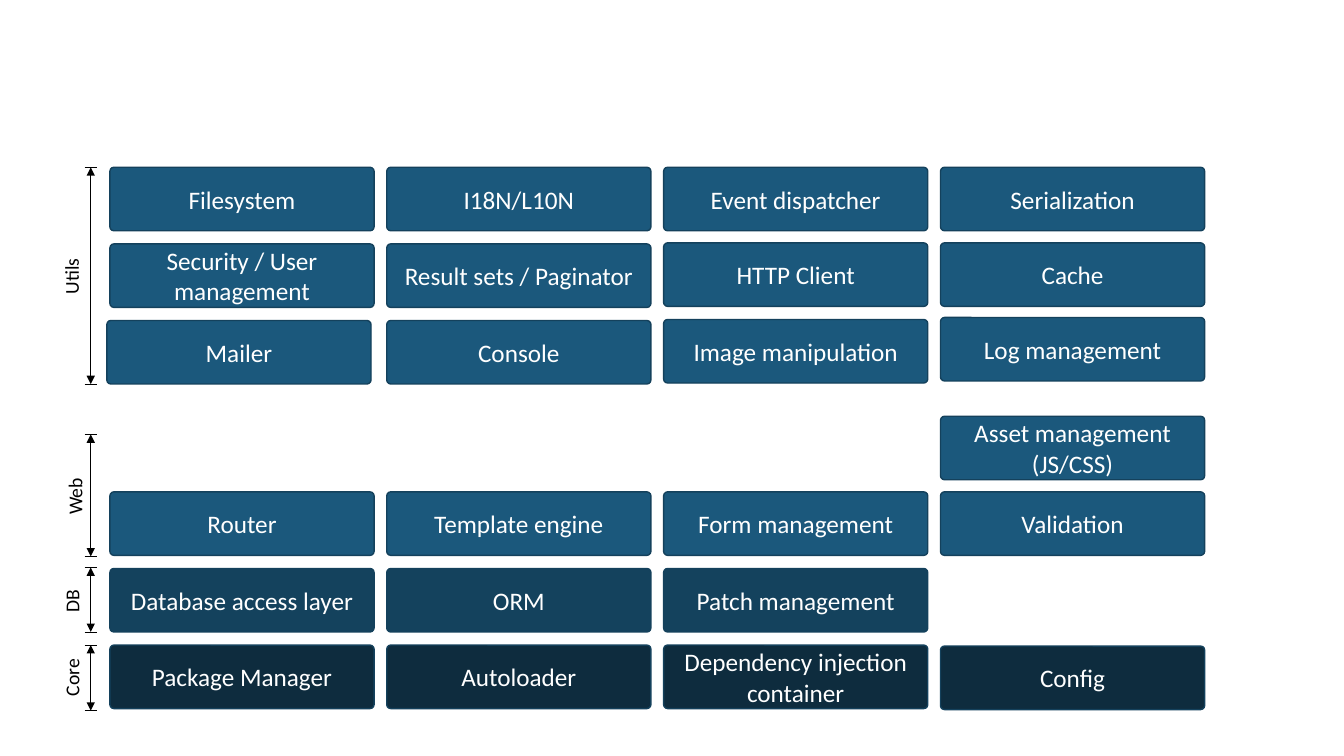
from dataclasses import dataclass

from lxml import etree
from pptx import Presentation
from pptx import util as u
from pptx.dml.color import RGBColor
from pptx.enum import shapes, text
from pptx.oxml import ns


@dataclass(frozen=True)
class Theme:
    font: str = "Calibri"
    box_size: int = 18
    label_size: int = 14
    utility: str = "1B587C"
    database: str = "14425D"
    core: str = "0E2C3E"
    outline: str = "14415C"
    box_text: str = "FFFFFF"
    ink: str = "000000"
    outline_width: float = 1
    bracket_width: float = 0.5


@dataclass(frozen=True)
class Box:
    label: str
    column: int
    top: float
    fill: str
    shift: float = 0


@dataclass(frozen=True)
class Layer:
    label: str
    top: float
    bottom: float
    label_left: float
    label_top: float
    label_width: float
    align: text.PP_ALIGN = text.PP_ALIGN.LEFT


THEME = Theme()
LEFT, PITCH, WIDTH, HEIGHT = 1.09, 2.746, 2.62, 0.63
CORNER = 0.063
BRACKET_LEFT, BRACKET_MID, BRACKET_RIGHT = 0.84, 0.9, 0.96
LABEL_HEIGHT = 0.34

BOXES = [
    Box("Filesystem", 0, 1.66, THEME.utility),
    Box("I18N/L10N", 1, 1.66, THEME.utility),
    Box("Event dispatcher", 2, 1.66, THEME.utility),
    Box("Serialization", 3, 1.66, THEME.utility),
    Box("Security / User management", 0, 2.42, THEME.utility),
    Box("Result sets / Paginator", 1, 2.42, THEME.utility),
    Box("HTTP Client", 2, 2.41, THEME.utility),
    Box("Cache", 3, 2.41, THEME.utility),
    Box("Mailer", 0, 3.18, THEME.utility, -0.03),
    Box("Console", 1, 3.18, THEME.utility),
    Box("Image manipulation", 2, 3.17, THEME.utility),
    Box("Log management", 3, 3.15, THEME.utility),
    Box("Asset management\n(JS/CSS)", 3, 4.13, THEME.utility),
    Box("Router", 0, 4.88, THEME.utility),
    Box("Template engine", 1, 4.88, THEME.utility),
    Box("Form management", 2, 4.88, THEME.utility),
    Box("Validation", 3, 4.88, THEME.utility),
    Box("Database access layer", 0, 5.64, THEME.database),
    Box("ORM", 1, 5.64, THEME.database),
    Box("Patch management", 2, 5.64, THEME.database),
    Box("Package Manager", 0, 6.4, THEME.core),
    Box("Autoloader", 1, 6.4, THEME.core),
    Box("Dependency injection container", 2, 6.4, THEME.core),
    Box("Config", 3, 6.41, THEME.core),
]

LAYERS = [
    Layer("Utils", 1.66, 3.81, 0.43, 2.57, 0.56, text.PP_ALIGN.CENTER),
    Layer("Web", 4.31, 5.52, 0.46, 4.75, 0.57),
    Layer("DB", 5.63, 6.27, 0.5, 5.79, 0.43),
    Layer("Core", 6.4, 7.05, 0.43, 6.55, 0.57),
]


def write(tf, label: str, size: int, color: str, align: text.PP_ALIGN) -> None:
    p = tf.paragraphs[0]
    p.alignment = align
    for i, line in enumerate(label.split("\n")):
        if i:
            p.add_line_break()
        r = p.add_run()
        r.text = line
        r.font.name = THEME.font
        r.font.size = u.Pt(size)
        r.font.color.rgb = RGBColor.from_string(color)


def draw_box(s, box: Box) -> None:
    left = LEFT + box.column * PITCH + box.shift
    sp = s.shapes.add_shape(
        shapes.MSO_SHAPE.ROUNDED_RECTANGLE,
        u.Inches(left), u.Inches(box.top), u.Inches(WIDTH), u.Inches(HEIGHT),
    )
    sp.adjustments[0] = CORNER
    sp.shadow.inherit = False
    sp.fill.solid()
    sp.fill.fore_color.rgb = RGBColor.from_string(box.fill)
    sp.line.color.rgb = RGBColor.from_string(THEME.outline)
    sp.line.width = u.Pt(THEME.outline_width)
    tf = sp.text_frame
    tf.word_wrap = True
    tf.vertical_anchor = text.MSO_ANCHOR.MIDDLE
    write(tf, box.label, THEME.box_size, THEME.box_text, text.PP_ALIGN.CENTER)


def draw_line(group, x1: float, y1: float, x2: float, y2: float, arrows: bool = False) -> None:
    line = group.shapes.add_connector(
        shapes.MSO_CONNECTOR.STRAIGHT,
        u.Inches(x1), u.Inches(y1), u.Inches(x2), u.Inches(y2),
    )
    line.line.color.rgb = RGBColor.from_string(THEME.ink)
    line.line.width = u.Pt(THEME.bracket_width)
    if arrows:
        ln = line.line._get_or_add_ln()
        for end in ("a:headEnd", "a:tailEnd"):
            etree.SubElement(ln, ns.qn(end), type="triangle")
    etree.SubElement(line._element.spPr, ns.qn("a:effectLst"))


def draw_layer(s, layer: Layer) -> None:
    group = s.shapes.add_group_shape()
    for y in (layer.top, layer.bottom):
        draw_line(group, BRACKET_LEFT, y, BRACKET_RIGHT, y)
    draw_line(group, BRACKET_MID, layer.top, BRACKET_MID, layer.bottom, arrows=True)

    sp = s.shapes.add_textbox(
        u.Inches(layer.label_left), u.Inches(layer.label_top),
        u.Inches(layer.label_width), u.Inches(LABEL_HEIGHT),
    )
    sp.rotation = 270
    tf = sp.text_frame
    tf.word_wrap = False
    tf.auto_size = text.MSO_AUTO_SIZE.SHAPE_TO_FIT_TEXT
    write(tf, layer.label, THEME.label_size, THEME.ink, layer.align)


def main() -> None:
    prs = Presentation()
    prs.slide_width = u.Inches(13.33)
    prs.slide_height = u.Inches(7.5)
    s = prs.slides.add_slide(prs.slide_layouts[6])
    for box in BOXES:
        draw_box(s, box)
    for layer in LAYERS:
        draw_layer(s, layer)
    prs.save("out.pptx")


if __name__ == "__main__":
    main()
